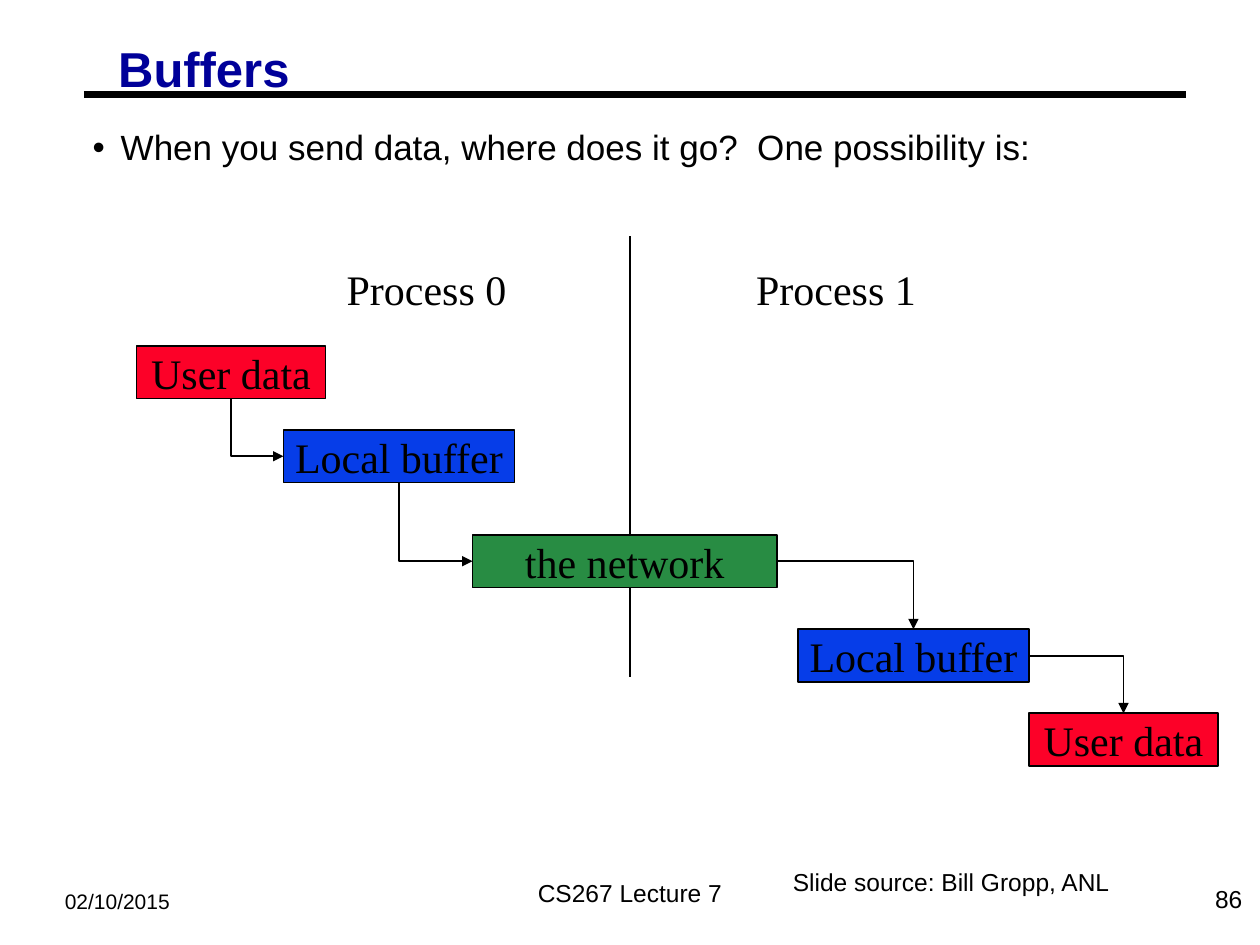
from lxml import etree
from pptx import Presentation
from pptx.dml.color import RGBColor
from pptx.enum.shapes import MSO_CONNECTOR, MSO_SHAPE
from pptx.enum.text import MSO_ANCHOR, MSO_AUTO_SIZE, PP_ALIGN
from pptx.oxml.ns import qn
from pptx.util import Pt

STRAIGHT, ELBOW = MSO_CONNECTOR.STRAIGHT, MSO_CONNECTOR.ELBOW
RECT = MSO_SHAPE.RECTANGLE
TOP, MIDDLE = MSO_ANCHOR.TOP, MSO_ANCHOR.MIDDLE
LEFT, CENTER, RIGHT = PP_ALIGN.LEFT, PP_ALIGN.CENTER, PP_ALIGN.RIGHT
FIT, FIXED = MSO_AUTO_SIZE.SHAPE_TO_FIT_TEXT, MSO_AUTO_SIZE.NONE
SIDE_TOP, SIDE_LEFT, SIDE_BOTTOM, SIDE_RIGHT = range(4)

BLACK, NAVY = "000000", "000099"
RED, BLUE, GREEN = "FC0128", "063DE8", "288C43"
SANS, SERIF = "Arial", "Times New Roman"
BOX_H = 30.2


def rgb(value):
    return RGBColor.from_string(value)


def write(sp, text, size, font=SANS, color=BLACK, bold=False, align=LEFT,
          anchor=TOP, wrap=False, fit=FIXED, inset=(7.2, 3.6), **spacing):
    tf = sp.text_frame
    frame_format = {
        "word_wrap": wrap, "auto_size": fit, "vertical_anchor": anchor,
        "margin_left": Pt(inset[0]), "margin_right": Pt(inset[0]),
        "margin_top": Pt(inset[1]), "margin_bottom": Pt(inset[1]),
    }
    for name, value in frame_format.items():
        setattr(tf, name, value)
    p = tf.paragraphs[0]
    for name, value in {"alignment": align, **spacing}.items():
        setattr(p, name, value)
    r = p.add_run()
    r.text = text
    for name, value in {"name": font, "size": Pt(size), "bold": bold}.items():
        setattr(r.font, name, value)
    r.font.color.rgb = rgb(color)
    return p


def add_text(s, box, text, size, **format_values):
    sp = s.shapes.add_textbox(*map(Pt, box))
    return write(sp, text, size, **format_values)


def add_bullet(p, indent):
    pPr = p._p.get_or_add_pPr()
    pPr.set("marL", str(Pt(indent)))
    pPr.set("indent", str(-Pt(indent)))
    etree.SubElement(pPr, qn("a:buFont")).set("typeface", SANS)
    etree.SubElement(pPr, qn("a:buChar")).set("char", "•")


def add_line(s, kind, ends, width=1):
    c = s.shapes.add_connector(kind, *map(Pt, ends))
    c.line.color.rgb = rgb(BLACK)
    c.line.width = Pt(width)
    etree.SubElement(c._element.spPr, qn("a:effectLst"))
    return c


def add_stage(s, box, text, fill):
    sp = s.shapes.add_shape(RECT, *map(Pt, box))
    sp.shadow.inherit = False
    sp.fill.solid()
    sp.fill.fore_color.rgb = rgb(fill)
    sp.line.color.rgb = rgb(BLACK)
    sp.line.width = Pt(1)
    write(sp, text, 24, font=SERIF, align=CENTER, anchor=MIDDLE)
    return sp


def add_bent_arrow(s, source, target, down_first):
    """One-corner arrow: down then right, or right then down."""
    c = add_line(s, ELBOW, (0, 0, 0, 0))
    c.begin_connect(source, SIDE_BOTTOM if down_first else SIDE_RIGHT)
    c.end_connect(target, SIDE_LEFT if down_first else SIDE_TOP)
    spPr = c._element.spPr
    spPr.find(qn("a:prstGeom")).set("prst", "bentConnector2")
    etree.SubElement(c.line._get_or_add_ln(), qn("a:tailEnd")).set("type", "triangle")
    if down_first:
        dx, dy = c.width, c.height
        c.left, c.top = c.left + (dx - dy) // 2, c.top + (dy - dx) // 2
        c.width, c.height = dy, dx
        xfrm = spPr.find(qn("a:xfrm"))
        xfrm.set("rot", str(270 * 60000))
        xfrm.set("flipH", "1")
        xfrm.set("flipV", "0")


def add_header(s, left, top, width):
    add_line(s, STRAIGHT, (left, top + 30, left + width, top + 30), 3.75)
    add_text(s, (left + 14.6, top, 108, 33), "Buffers", 28, color=NAVY, bold=True,
             wrap=True, fit=FIT, inset=(5, 2.4), line_spacing=0.87)
    p = add_text(s, (left, top + 48, width, 26),
                 "When you send data, where does it go?  One possibility is:", 20,
                 wrap=True, inset=(5, 2.4), line_spacing=0.9, space_before=Pt(3.7))
    add_bullet(p, 16)


def add_flow(s, left, top):
    divider_x = left + 282
    add_line(s, STRAIGHT, (divider_x, top, divider_x, top + 252))
    for x, label in ((113, "Process 0"), (347, "Process 1")):
        add_text(s, (left + x, top + 12, 106, 36), label, 24, font=SERIF, fit=FIT)
    stages = [
        (0, 62.6, 108, "User data", RED),
        (84, 110.6, 132, "Local buffer", BLUE),
        (192, 170.6, 174, "the network", GREEN),
        (378, 224.6, 132, "Local buffer", BLUE),
        (510, 272.6, 108, "User data", RED),
    ]
    boxes = [add_stage(s, (left + x, top + y, width, BOX_H), text, fill)
             for x, y, width, text, fill in stages]
    for i, (source, target) in enumerate(zip(boxes, boxes[1:])):
        add_bent_arrow(s, source, target, down_first=i < 2)


def add_footer(s, left, top):
    add_text(s, (left, top + 12, 138, 22), "02/10/2015", 12, wrap=True, fit=FIT,
             space_before=Pt(7.5))
    add_text(s, (left + 216, top, 228, 36), "CS267 Lecture 7", 14, align=CENTER,
             anchor=MIDDLE)
    add_text(s, (left + 537, top + 3.6, 150, 36), "86", 14, align=RIGHT, anchor=MIDDLE)
    add_text(s, (left + 416, top, 196, 24.5), "Slide source: Bill Gropp, ANL", 14, fit=FIT)


def main():
    prs = Presentation()
    prs.slide_width, prs.slide_height = Pt(720), Pt(540)
    s = prs.slides.add_slide(prs.slide_layouts[6])
    add_header(s, 48, 24, 630)
    add_flow(s, 78, 135)
    add_footer(s, 30, 492)
    prs.save("out.pptx")


if __name__ == "__main__":
    main()
